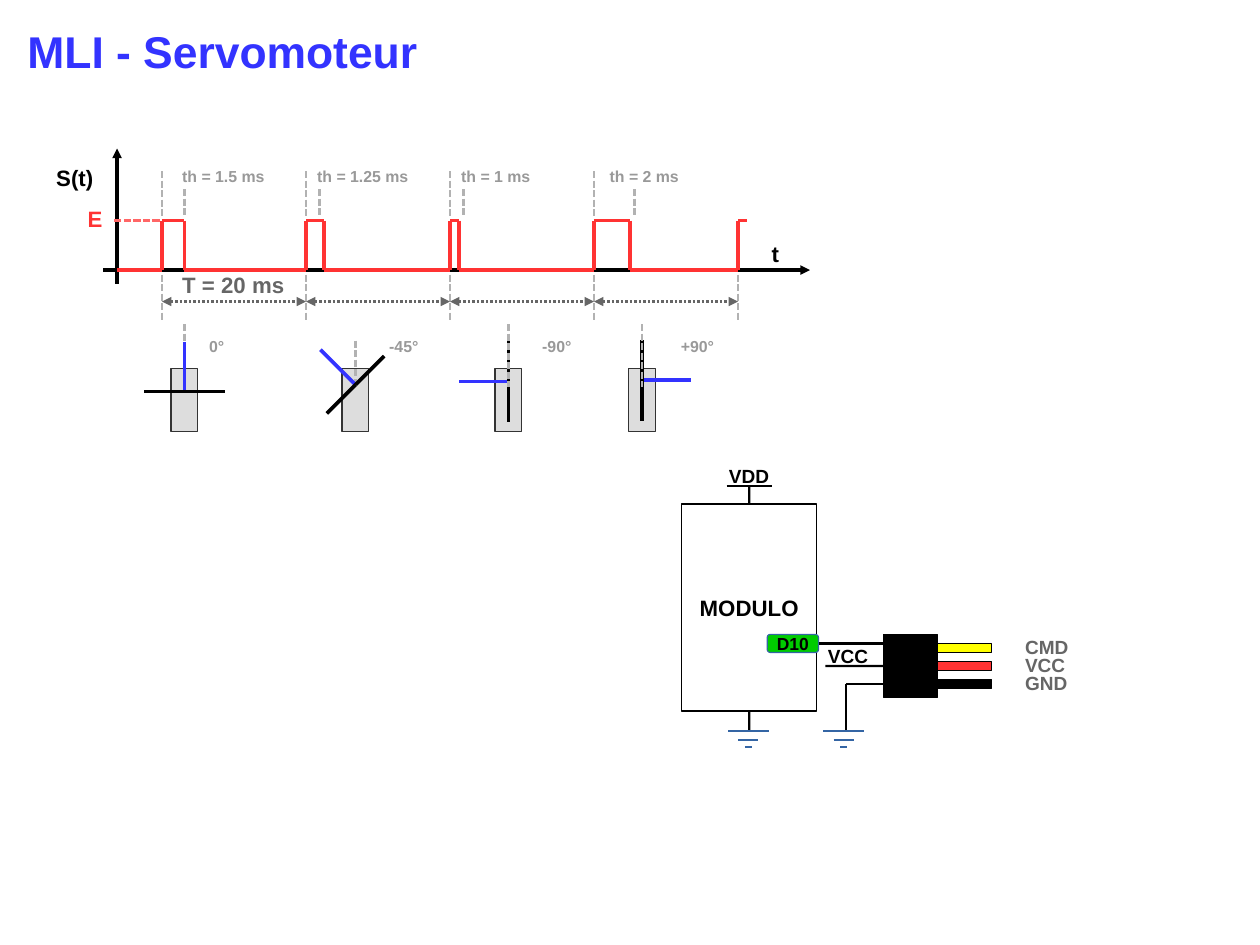
from math import cos, radians, sin

from lxml import etree
from pptx import Presentation
from pptx.dml.color import RGBColor
from pptx.enum.dml import MSO_LINE
from pptx.enum.shapes import MSO_CONNECTOR, MSO_SHAPE
from pptx.enum.text import MSO_ANCHOR, MSO_AUTO_SIZE, PP_ALIGN
from pptx.oxml.ns import qn
from pptx.util import Cm, Pt

STRAIGHT = MSO_CONNECTOR.STRAIGHT
RECT, ROUNDED = MSO_SHAPE.RECTANGLE, MSO_SHAPE.ROUNDED_RECTANGLE
DASH, DOT = MSO_LINE.SQUARE_DOT, MSO_LINE.ROUND_DOT
TOP, MIDDLE = MSO_ANCHOR.TOP, MSO_ANCHOR.MIDDLE
LEFT, CENTER = PP_ALIGN.LEFT, PP_ALIGN.CENTER
SIDE_TOP, SIDE_LEFT, SIDE_BOTTOM, SIDE_RIGHT = range(4)

COLORS = {
    "black": "000000", "white": "FFFFFF", "blue": "3333FF", "red": "FF3333",
    "pale red": "FF6666", "yellow": "FFFF00", "green": "00CC00", "steel": "3465A4",
    "charcoal": "333333", "dark": "666666", "mid": "999999", "guide": "B2B2B2",
    "body": "DDDDDD",
}
TITLE = "MLI - Servomoteur"

# Signal: (high time in cm, label, label left, tick x)
PULSES = [
    (0.5, "th = 1.5 ms", 3.8, 4.1),
    (0.4, "th = 1.25 ms", 6.8, 7.1),
    (0.2, "th = 1 ms", 10, 10.3),
    (0.8, "th = 2 ms", 13.3, 14.1),
]
ORIGIN_X, FIRST_X, PERIOD = 2.6, 3.6, 3.2
LOW_Y, HIGH_Y, PERIOD_Y = 6, 4.9, 6.7
LAST_X, LAST_HIGH = FIRST_X + len(PULSES) * PERIOD, 0.2

# Servos: (angle, label, label left, pivot x, pivot y, guide top, guide in front)
SERVOS = [
    (0, "0°", 4.4, 4.1, 8.7, 7.2, False),
    (-45, "-45°", 8.4, 7.9, 8.55, 7.57, False),
    (-90, "-90°", 11.8, 11.3, 8.48, 7.2, True),
    (90, "+90°", 14.88, 14.26, 8.45, 7.2, True),
]
HORN, ARM = 1.1, 0.9

# Cables: (label, colour, centre y)
CABLES = [("CMD", "yellow", 14.4), ("VCC", "red", 14.8), ("GND", "black", 15.2)]
GROUND_X = [16.63, 18.75]
GROUND_BARS = [(16.25, 0.9), (16.45, 0.45), (16.6, 0.15)]  # y, width

prs = Presentation()
prs.slide_width, prs.slide_height = Cm(28), Cm(21)
slide = prs.slides.add_slide(prs.slide_layouts[5])
shapes = slide.shapes


def rgb(name):
    return RGBColor.from_string(COLORS[name])


def write(sp, text, size, color, align=LEFT, anchor=TOP, inset=(0.25, 0.13), wrap=True):
    tf = sp.text_frame
    frame = {
        "margin_left": Cm(inset[0]), "margin_right": 0,
        "margin_top": Cm(inset[1]), "margin_bottom": Cm(inset[1]),
        "word_wrap": wrap, "auto_size": MSO_AUTO_SIZE.NONE, "vertical_anchor": anchor,
    }
    for key, value in frame.items():
        setattr(tf, key, value)
    p = tf.paragraphs[0]
    p.alignment = align
    r = p.add_run()
    r.text = text
    for key, value in {"name": "Arial", "size": Pt(size), "bold": True}.items():
        setattr(r.font, key, value)
    r.font.color.rgb = rgb(color)


def label(text, x, y, size, color, width=2.9):
    write(shapes.add_textbox(Cm(x), Cm(y), Cm(width), Cm(0.8)), text, size, color)


def box(x, y, w, h, fill, line="black", width=0, kind=RECT):
    sp = shapes.add_shape(kind, Cm(x), Cm(y), Cm(w), Cm(h))
    sp.shadow.inherit = False
    sp.fill.solid()
    sp.fill.fore_color.rgb = rgb(fill)
    sp.line.color.rgb = rgb(line)
    sp.line.width = Pt(width)
    return sp


def line(x1, y1, x2, y2, color="black", width=1.42, dash=None, heads=()):
    """Draw a straight line; heads may hold headEnd (start) and tailEnd (end)."""
    s = shapes.add_connector(STRAIGHT, Cm(x1), Cm(y1), Cm(x2), Cm(y2))
    s.line.color.rgb = rgb(color)
    s.line.width = Pt(width)
    if dash:
        s.line.dash_style = dash
    for head in heads:
        etree.SubElement(s.line._get_or_add_ln(), qn(f"a:{head}"), type="triangle")
    etree.SubElement(s._element.spPr, qn("a:effectLst"))
    return s


def guide(x, top, bottom):
    line(x, top, x, bottom, "guide", 1.5, DASH)


def trace(*points):
    """Draw the signal through the given points."""
    for start, end in zip(points, points[1:]):
        line(*start, *end, "red", 2.3)


def draw_signal():
    line(2.3, LOW_Y, 18, LOW_Y, width=0, heads=["tailEnd"])
    line(ORIGIN_X, 6.3, ORIGIN_X, 3.3, width=0, heads=["tailEnd"])
    line(2.54, HIGH_Y, FIRST_X, HIGH_Y, "pale red", 1.5, DASH)
    trace((ORIGIN_X, LOW_Y), (FIRST_X, LOW_Y))
    for i, (high, text, text_x, tick_x) in enumerate(PULSES):
        x = FIRST_X + i * PERIOD
        fall, end = x + high, x + PERIOD
        trace((x, LOW_Y), (x, HIGH_Y), (fall, HIGH_Y), (fall, LOW_Y), (end, LOW_Y))
        guide(x, 3.8, 4.8)
        guide(tick_x, 4.2, 4.82)
        guide(x, 6.1, 7.1)
        line(x, PERIOD_Y, end, PERIOD_Y, "dark", 1.42, DOT, ["headEnd", "tailEnd"])
        label(text, text_x, 3.57, 10, "mid")
    trace((LAST_X, LOW_Y), (LAST_X, HIGH_Y), (LAST_X + LAST_HIGH, HIGH_Y))
    guide(LAST_X, 6.1, 7.1)
    label("S(t)", 1, 3.53, 14, "black", 1.5)
    label("E", 1.7, 4.44, 14, "red", 0.9)
    label("t", 16.9, 5.2, 14, "black", 0.8)
    label("T = 20 ms", 3.8, 5.9, 14, "dark")


def draw_servo(angle, text, text_x, x, y, guide_top, in_front):
    box(x - 0.3, 8.19, 0.6, 1.4, "body", "charcoal")
    if not in_front:
        guide(x, guide_top, 8.6)
    for turn, length, color in [(0, HORN, "blue"), (90, ARM, "black"), (-90, ARM, "black")]:
        a = radians(angle + turn)
        line(x, y, x + length * sin(a), y - length * cos(a), color, 2.3)
    if in_front:
        guide(x, guide_top, 8.6)
    label(text, text_x, 7.35, 10, "mid", 2.1)


def draw_circuit():
    for text, color, y in CABLES:
        box(20.83, y - 0.1, 1.2, 0.2, color)
        label(text, 22.53, y - 0.4, 12, "dark", 1.5)
    plug = box(19.63, 14.1, 1.2, 1.4, "black")
    board = box(15.15, 11.2, 3, 4.6, "white", width=1)
    write(board, "MODULO", 14, "black", CENTER, MIDDLE, (0, 0), wrap=False)
    pin = box(17.05, 14.1, 1.14, 0.4, "green", "steel", kind=ROUNDED)
    write(pin, "D10", 11, "black", CENTER, MIDDLE, (0, 0), wrap=False)

    line(18.19, 14.3, 19.63, 14.3).begin_connect(pin, SIDE_RIGHT)
    line(18.34, 14.8, 19.63, 14.8).end_connect(plug, SIDE_LEFT)
    line(18.8, 15.2, 19.63, 15.2)
    line(18.8, 15.2, 18.8, 16.25)
    line(16.15, 10.8, 17.15, 10.8)
    line(16.65, 10.8, 16.65, 11.2).end_connect(board, SIDE_TOP)
    line(16.65, 15.8, 16.65, 16.25).begin_connect(board, SIDE_BOTTOM)
    for x in GROUND_X:
        for y, w in GROUND_BARS:
            line(x - w / 2, y, x + w / 2, y, "steel", 1.13)
    label("VDD", 15.95, 10.2, 12, "black", 1.5)
    label("VCC", 18.15, 14.2, 12, "black", 1.5)


title = shapes.title
for key, value in {"left": 0.36, "top": 0.4, "width": 9.6, "height": 2.46}.items():
    setattr(title, key, Cm(value))
write(title, TITLE, 28, "blue")
draw_signal()
for servo in SERVOS:
    draw_servo(*servo)
draw_circuit()
prs.save("out.pptx")
